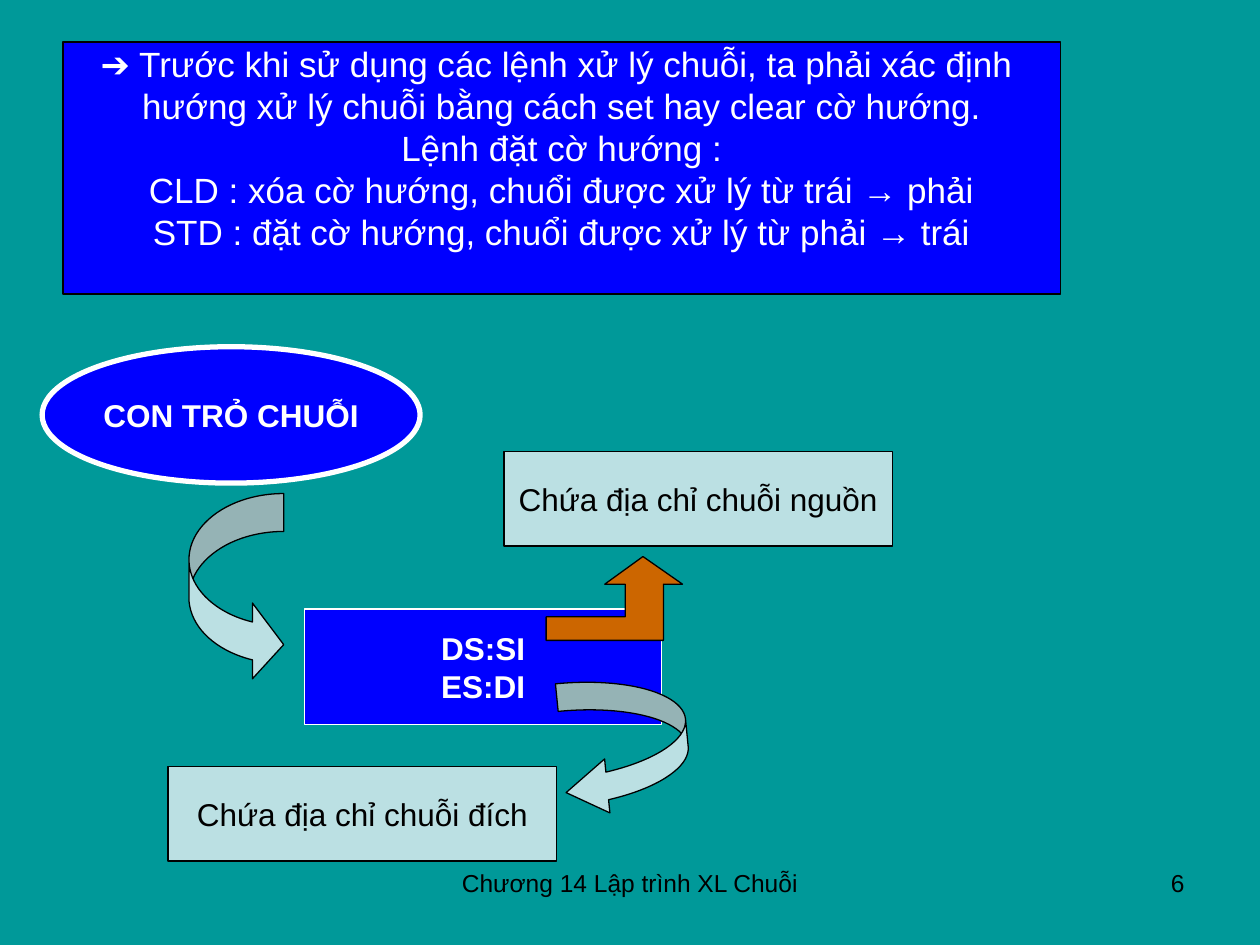
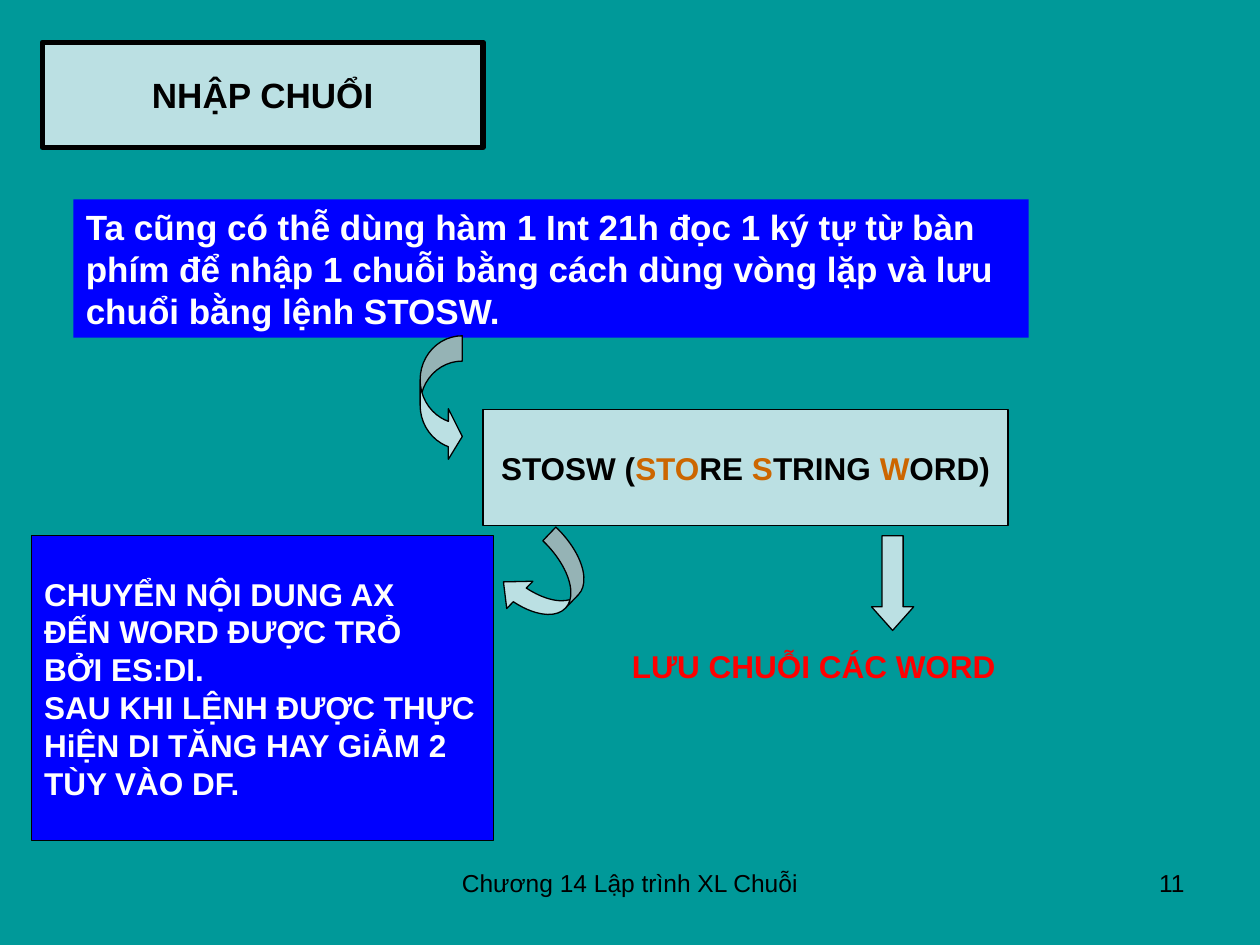
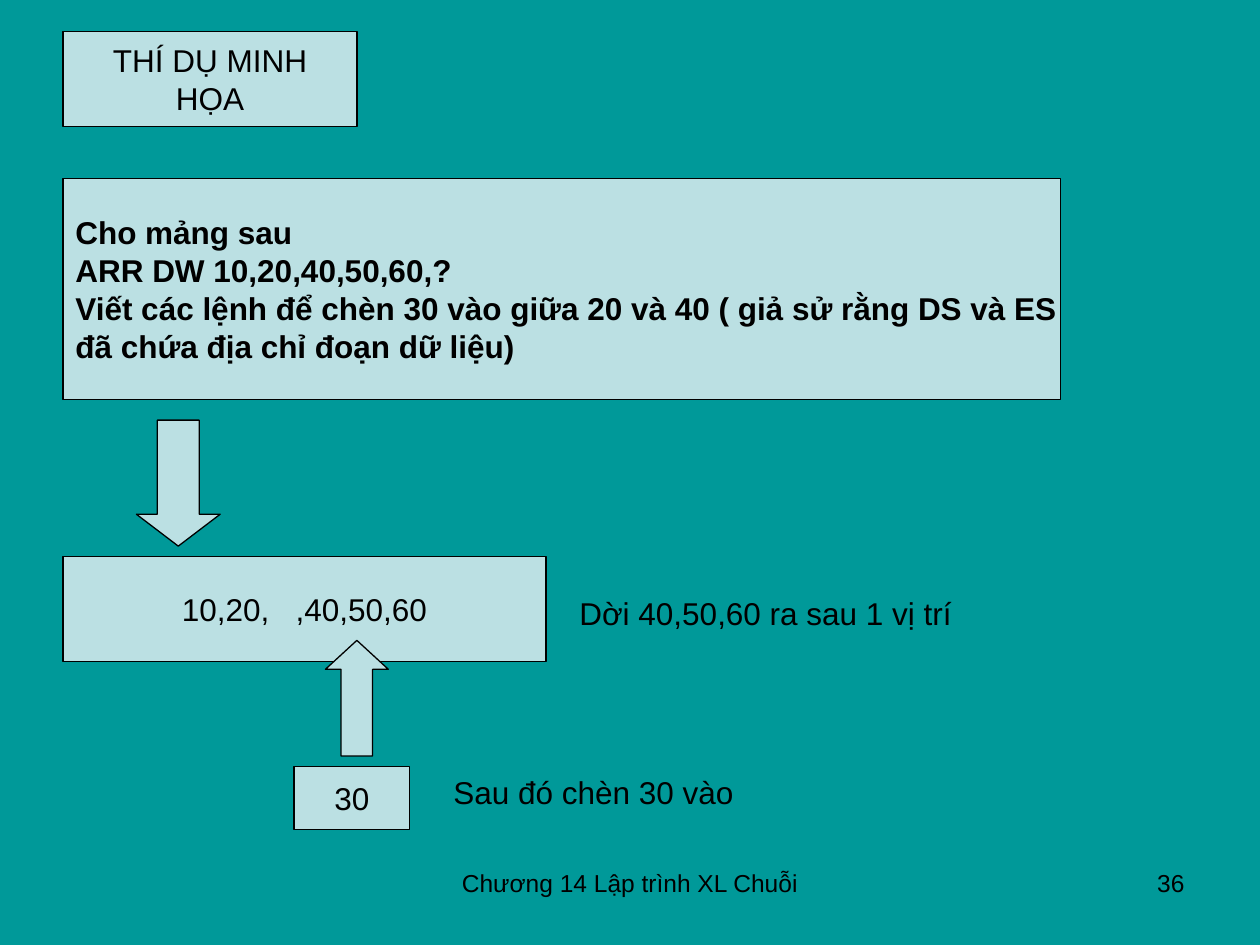
from lxml.etree import SubElement
from pptx import Presentation
from pptx.dml.color import RGBColor
from pptx.enum.shapes import MSO_SHAPE as Preset
from pptx.enum.text import MSO_ANCHOR as Anchor, MSO_AUTO_SIZE as AutoSize, PP_ALIGN as Align
from pptx.oxml.ns import qn
from pptx.util import Cm, Pt

TEAL, BLUE, PALE = "009999", "0000FF", "BBE0E3"
BLACK, WHITE, ORANGE, RED = "000000", "FFFFFF", "CC6600", "FF0000"
FONT = "Arial"
FOOTER = "Chương 14 Lập trình XL Chuỗi"
FOOTER_TOP, FOOTER_HEIGHT = 17.36, 1.32
TITLE_ONLY, BLANK = 5, 6


def color(hex_code):
    return RGBColor.from_string(hex_code)


def paint(shape, fill, line=BLACK, weight=0.75):
    """Set fill and outline; None leaves the part empty."""
    if fill:
        shape.fill.solid()
        shape.fill.fore_color.rgb = color(fill)
    else:
        shape.fill.background()
    if line:
        shape.line.color.rgb = color(line)
        shape.line.width = Pt(weight)
    else:
        shape.line.fill.background()


def write(shape, paragraphs, size=18, ink=BLACK, bold=False, align=Align.CENTER,
          anchor=Anchor.MIDDLE, wrap=False):
    """Each paragraph is a string or a list of (text, colour) spans."""
    frame = shape.text_frame
    frame.auto_size = AutoSize.NONE
    frame.word_wrap = wrap
    frame.vertical_anchor = anchor
    frame.margin_left = frame.margin_right = Cm(0.25)
    frame.margin_top = frame.margin_bottom = Cm(0.13)
    for index, content in enumerate(paragraphs):
        para = frame.add_paragraph() if index else frame.paragraphs[0]
        para.alignment = align
        spans = [(content, ink)] if isinstance(content, str) else content
        for text, span_ink in spans:
            for number, line in enumerate(text.split("\n")):
                if number:
                    para.add_line_break()
                span = para.add_run()
                span.text = line
                span.font.name = FONT
                span.font.size = Pt(size)
                span.font.bold = bold
                span.font.color.rgb = color(span_ink)


def add_preset(page, preset, at, fill=PALE, line=BLACK, weight=0.75):
    shape = page.shapes.add_shape(preset, *map(Cm, at))
    shape.shadow.inherit = False
    paint(shape, fill, line, weight)
    return shape


def add_box(page, at, paragraphs, fill=PALE, line=BLACK, weight=0.75,
            preset=Preset.RECTANGLE, **text_style):
    box = add_preset(page, preset, at, fill, line, weight)
    write(box, paragraphs, **text_style)
    return box


def add_arrow(page, preset, at, adjustments, rotation=0):
    arrow = add_preset(page, preset, at)
    for index, value in enumerate(adjustments):
        arrow.adjustments[index] = value
    arrow.rotation = rotation


def add_bent_arrow(page, left, top, width, height):
    """Upward arrow with a thin foot and a wide stem."""
    outline = [(0, 0.72), (0.58, 0.72), (0.58, 0.33), (0.43, 0.33), (0.71, 0 ),
               (1, 0.33), (0.86, 0.33), (0.86, 1), (0, 1)]
    points = [(Cm(left + x * width), Cm(top + y * height)) for x, y in outline]
    builder = page.shapes.build_freeform(*points[0])
    builder.add_line_segments(points[1:], close=True)
    arrow = builder.convert_to_shape()
    arrow.shadow.inherit = False
    paint(arrow, ORANGE)


def add_label(page, at, text, align=Align.LEFT, **text_style):
    label = page.shapes.add_textbox(*map(Cm, at))
    write(label, [text], align=align, anchor=Anchor.TOP, wrap=True, **text_style)


def add_title(page, at, text, weight=0.75, **text_style):
    """Turn the title placeholder into a pill."""
    title = page.shapes.title
    title.left, title.top, title.width, title.height = map(Cm, at)
    outline = SubElement(title.element.spPr, qn("a:prstGeom"), prst="flowChartTerminator")
    SubElement(outline, qn("a:avLst"))
    paint(title, PALE, BLACK, weight)
    write(title, [text], **text_style)


def add_page(deck, layout):
    return deck.slides.add_slide(deck.slide_layouts[layout])


def add_footer(page, number):
    add_label(page, (8.68, FOOTER_TOP, 8.04, FOOTER_HEIGHT), FOOTER, Align.CENTER, size=14)
    add_label(page, (18.2, FOOTER_TOP, 5.93, FOOTER_HEIGHT), str(number), Align.RIGHT, size=14)


def build_pointers(deck):
    page = add_page(deck, BLANK)
    direction = add_box(page, (1.27, 0.85, 20.11, 5.08), [
        "➔ Trước khi sử dụng các lệnh xử lý chuỗi, ta phải xác định \n"
        "hướng xử lý chuỗi bằng cách set hay clear cờ hướng.",
        "Lệnh đặt cờ hướng :",
        "CLD : xóa cờ hướng, chuổi được xử lý từ trái → phải",
        "STD : đặt cờ hướng, chuổi được xử lý từ phải → trái",
    ], BLUE, size=20, ink=WHITE)
    direction.text_frame.margin_bottom = Cm(0.98)

    # Pointer registers and what they hold
    add_box(page, (0.85, 6.99, 7.62, 2.75), ["CON TRỎ CHUỖI"], BLUE, WHITE, 3,
            Preset.OVAL, ink=WHITE, bold=True)
    add_arrow(page, Preset.CURVED_RIGHT_ARROW, (3.81, 9.95, 1.91, 3.81), (0.4, 0.8, 0.33))
    add_box(page, (6.14, 12.28, 7.2, 2.33), ["DS:SI\nES:DI"], BLUE, WHITE,
            ink=WHITE, bold=True)
    add_bent_arrow(page, 11.01, 11.22, 2.75, 1.69)
    add_box(page, (3.39, 15.45, 7.83, 1.91), ["Chứa địa chỉ chuỗi đích"])
    add_arrow(page, Preset.CURVED_DOWN_ARROW, (11.22, 13.76, 2.75, 2.54),
              (0.22, 0.43, 0.33), 84.4)
    add_box(page, (10.16, 9.1, 7.83, 1.91), ["Chứa địa chỉ chuỗi nguồn"])
    add_footer(page, 6)


def build_string_input(deck):
    page = add_page(deck, TITLE_ONLY)
    add_title(page, (0.85, 0.85, 8.89, 2.12), "NHẬP CHUỔI", 3, size=20, bold=True)
    add_box(page, (1.48, 4.02, 19.26, 2.79), [
        "Ta cũng có thễ dùng hàm 1 Int 21h đọc 1 ký tự từ bàn phím để nhập 1 chuỗi "
        "bằng cách dùng vòng lặp và lưu chuổi bằng lệnh STOSW.",
    ], BLUE, None, size=20, ink=WHITE, bold=True, align=Align.LEFT,
            anchor=Anchor.TOP, wrap=True)

    # The instruction and its effects
    add_arrow(page, Preset.CURVED_RIGHT_ARROW, (8.47, 6.77, 0.85, 2.54), (0.6, 1.2, 0.33))
    add_box(page, (9.74, 8.26, 10.58, 2.33), [[
        ("STOSW (", BLACK), ("STO", ORANGE), ("RE ", BLACK), ("S", ORANGE),
        ("TRING ", BLACK), ("W", ORANGE), ("ORD)", BLACK),
    ]], bold=True)
    add_arrow(page, Preset.DOWN_ARROW, (17.57, 10.8, 0.85, 1.91), (0.5, 0.56))
    add_label(page, (12.49, 12.91, 10.37, 1.02), "LƯU CHUỖI CÁC WORD", ink=RED, bold=True)
    add_arrow(page, Preset.CURVED_LEFT_ARROW, (10.37, 10.8, 1.27, 1.91),
              (0.3, 0.6, 0.33), 43.7)
    add_box(page, (0.64, 10.8, 9.31, 6.14), [
        "CHUYỂN NỘI DUNG AX\nĐẾN WORD ĐƯỢC TRỎ\nBỞI ES:DI.",
        "SAU KHI LỆNH ĐƯỢC THỰC\nHiỆN DI TĂNG HAY GiẢM 2\nTÙY VÀO DF.",
    ], BLUE, ink=WHITE, bold=True, align=Align.LEFT)
    add_footer(page, 11)


def build_example(deck):
    page = add_page(deck, TITLE_ONLY)
    add_title(page, (1.27, 0.64, 5.93, 1.91), "THÍ DỤ MINH HỌA")
    add_box(page, (1.27, 3.6, 20.11, 4.45), [
        "Cho mảng sau \nARR DW 10,20,40,50,60,?\n"
        "Viết các lệnh để chèn 30 vào giữa 20 và 40 ( giả sử rằng DS và ES\n"
        "đã chứa địa chỉ đoạn dữ liệu)",
    ], bold=True, align=Align.LEFT)

    # Shift the tail, then insert the value
    add_arrow(page, Preset.DOWN_ARROW, (2.75, 8.47, 1.69, 2.54), (0.5, 0.38))
    add_box(page, (1.27, 11.22, 9.74, 2.12), ["10,20,   ,40,50,60"])
    add_arrow(page, Preset.UP_ARROW, (6.56, 12.91, 1.27, 2.33), (0.5, 0.46))
    add_box(page, (5.93, 15.45, 2.33, 1.27), ["30"])
    add_label(page, (11.43, 11.85, 9.1, 1.02), "Dời 40,50,60 ra sau 1 vị trí")
    add_label(page, (8.89, 15.45, 8.26, 1.02), "Sau đó chèn 30 vào")
    add_footer(page, 36)


def main():
    deck = Presentation()
    deck.slide_width, deck.slide_height = Cm(25.4), Cm(19.05)
    backdrop = deck.slide_master.background.fill
    backdrop.solid()
    backdrop.fore_color.rgb = color(TEAL)
    build_pointers(deck)
    build_string_input(deck)
    build_example(deck)
    deck.save("out.pptx")


if __name__ == "__main__":
    main()
